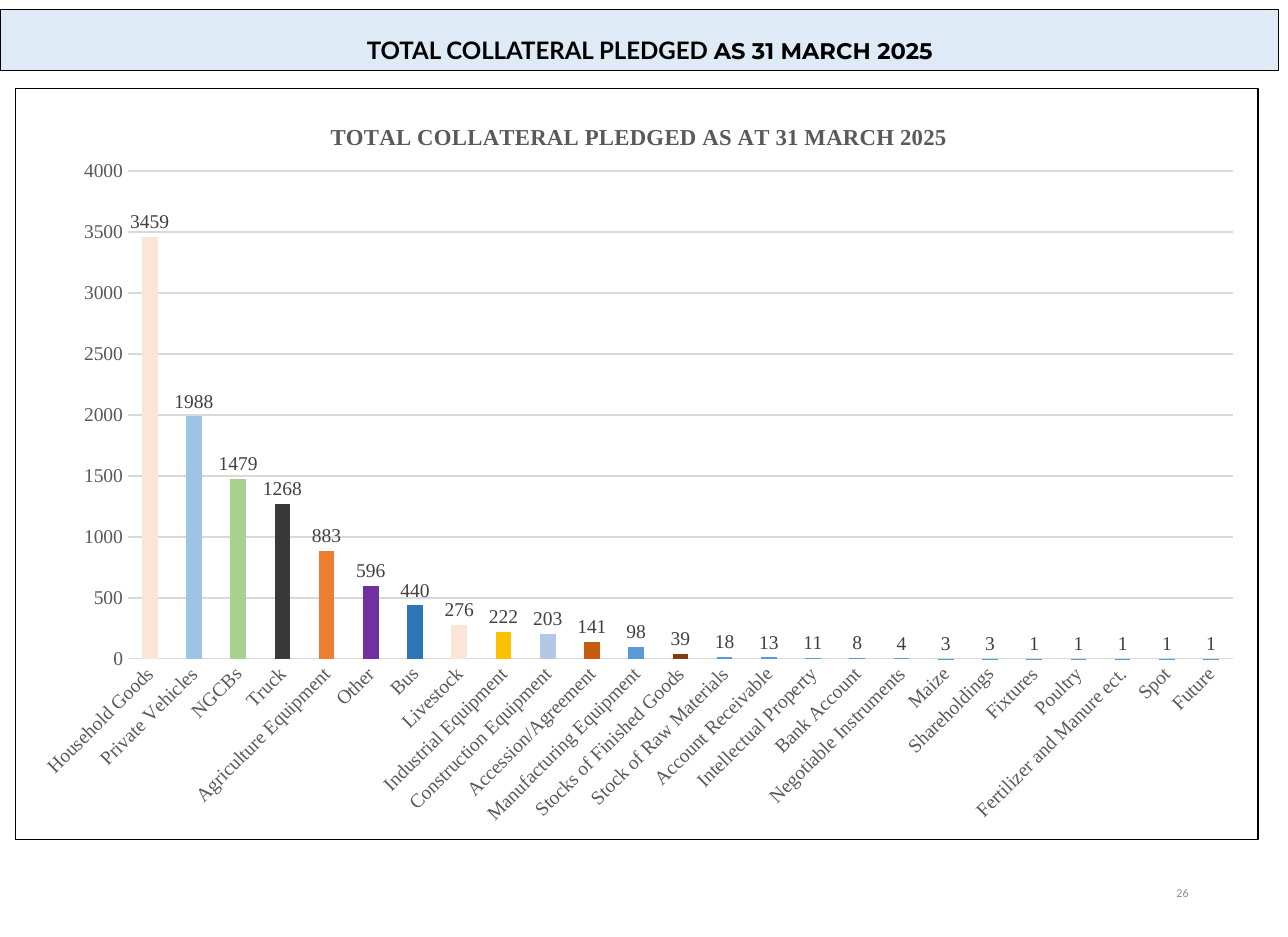
from lxml.etree import SubElement
from pptx import Presentation
from pptx.chart.data import CategoryChartData
from pptx.dml.color import RGBColor
from pptx.enum.chart import XL_CHART_TYPE, XL_LABEL_POSITION, XL_TICK_MARK
from pptx.enum.shapes import MSO_SHAPE
from pptx.enum.text import MSO_ANCHOR, PP_ALIGN
from pptx.oxml import parse_xml
from pptx.oxml.ns import nsdecls, qn
from pptx.util import Inches, Pt

theme = {
    "serif": "Times New Roman", "head": "Lato", "date": "Montserrat", "foot": "Calibri",
    "head_pt": 14.8, "date_pt": 13.9, "title_pt": 14, "chart_pt": 12, "foot_pt": 7.4,
    "band": "DEEBF7", "ink": "000000", "paper": "FFFFFF", "axis": "595959",
    "label": "404040", "grid": "D9D9D9", "page": "8C8C8C", "bar": "5B9BD5",
}

items = [
    ("Household Goods", 3459, "FBE5D6"), ("Private Vehicles", 1988, "9DC3E6"),
    ("NGCBs", 1479, "A9D18E"), ("Truck", 1268, "3B3838"),
    ("Agriculture Equipment", 883, "ED7D31"), ("Other", 596, "7030A0"),
    ("Bus", 440, "2E75B6"), ("Livestock", 276, "FBE5D6"),
    ("Industrial Equipment", 222, "FFC000"), ("Construction Equipment", 203, "B4C7E7"),
    ("Accession/Agreement", 141, "C55A11"), ("Manufacturing Equipment", 98, None),
    ("Stocks of Finished Goods", 39, "843C0B"), ("Stock of Raw Materials", 18, None),
    ("Account Receivable", 13, None), ("Intellectual Property", 11, None),
    ("Bank Account", 8, None), ("Negotiable Instruments", 4, None),
    ("Maize", 3, None), ("Shareholdings", 3, None), ("Fixtures", 1, None),
    ("Poultry", 1, None), ("Fertilizer and Manure ect.", 1, None),
    ("Spot", 1, None), ("Future", 1, None),
]


def style(font, face, size, color, bold=False):
    font.name = face
    font.size = Pt(size)
    font.bold = bold
    font.color.rgb = RGBColor.from_string(color)


def place(parent, **spots):
    for old in parent.findall(qn("c:layout")):
        parent.remove(old)
    layout = parse_xml(f"<c:layout {nsdecls('c')}/>")
    manual = SubElement(layout, qn("c:manualLayout"))
    for tag, val in spots.items():
        SubElement(manual, qn(f"c:{tag}")).set("val", str(val))
    return layout


deck = Presentation()
deck.slide_width = Inches(11)
deck.slide_height = Inches(8)
slide = deck.slides.add_slide(deck.slide_layouts[6])

band = slide.shapes.add_shape(MSO_SHAPE.RECTANGLE, Inches(0), Inches(0.08), Inches(10.92), Inches(0.52))
band.shadow.inherit = False
band.fill.solid()
band.fill.fore_color.rgb = RGBColor.from_string(theme["band"])
band.line.color.rgb = RGBColor.from_string(theme["ink"])
band.line.width = Pt(0.25)
frame = band.text_frame
frame.word_wrap = True
frame.vertical_anchor = MSO_ANCHOR.BOTTOM
frame.margin_left = Inches(0.28)
head = frame.paragraphs[0]
head.alignment = PP_ALIGN.CENTER
head.line_spacing = 0.9
head.space_after = Pt(5.1)
for text, part in (("TOTAL COLLATERAL PLEDGED ", "head"), ("AS 31 MARCH 2025", "date")):
    run = head.add_run()
    run.text = text
    style(run.font, theme[part], theme[f"{part}_pt"], theme["ink"], True)

page = slide.shapes.add_textbox(Inches(7.77), Inches(7.41), Inches(2.48), Inches(0.43))
page.text_frame.word_wrap = True
page.text_frame.vertical_anchor = MSO_ANCHOR.MIDDLE
page.text_frame.text = "26"
folio = page.text_frame.paragraphs[0]
folio.alignment = PP_ALIGN.RIGHT
style(folio.runs[0].font, theme["foot"], theme["foot_pt"], theme["page"])

data = CategoryChartData()
data.categories = [name for name, count, color in items]
data.add_series("Series 1", [count for name, count, color in items])
chart = slide.shapes.add_chart(
    XL_CHART_TYPE.COLUMN_CLUSTERED, Inches(0.13), Inches(0.75), Inches(10.62), Inches(6.42), data
).chart
style(chart.font, theme["serif"], theme["chart_pt"], theme["ink"])
chart.has_legend = False
chart.has_title = True
title = chart.chart_title
title.include_in_layout = False
title.text_frame.text = "TOTAL COLLATERAL PLEDGED AS AT 31 MARCH 2025"
style(title.text_frame.paragraphs[0].runs[0].font, theme["serif"], theme["title_pt"], theme["axis"], True)

root = chart.element
root.chart.addnext(parse_xml(
    f'<c:spPr {nsdecls("c", "a")}><a:solidFill><a:srgbClr val="{theme["paper"]}"/></a:solidFill>'
    f'<a:ln w="{Pt(0.75)}"><a:solidFill><a:srgbClr val="{theme["ink"]}"/></a:solidFill></a:ln></c:spPr>'
))
heading = root.chart.find(qn("c:title"))
spot = place(heading, xMode="edge", yMode="edge", x=0.25, y=0.04)
heading.find(qn("c:tx")).addnext(spot)
area = root.chart.plotArea
area.insert(0, place(area, layoutTarget="inner", xMode="edge", yMode="edge", x=0.09, y=0.11, w=0.89, h=0.65))

for axis in (chart.category_axis, chart.value_axis):
    style(axis.tick_labels.font, theme["serif"], theme["chart_pt"], theme["axis"])
    axis.major_tick_mark = XL_TICK_MARK.NONE
    axis.minor_tick_mark = XL_TICK_MARK.NONE

names, scale = chart.category_axis, chart.value_axis
names._element.find(qn("c:txPr")).find(qn("a:bodyPr")).set("rot", "-2700000")
scale.minimum_scale = 0
scale.maximum_scale = 4000
scale.major_unit = 500
scale.format.line.fill.background()
for line in (names.format.line, scale.major_gridlines.format.line):
    line.color.rgb = RGBColor.from_string(theme["grid"])
    line.width = Pt(0.75)

plot = chart.plots[0]
plot.gap_width = 182
plot.vary_by_categories = False
bars = plot.series[0]
bars.format.fill.solid()
bars.format.fill.fore_color.rgb = RGBColor.from_string(theme["bar"])
for index, (name, count, color) in enumerate(items):
    if color:
        fill = bars.points[index].format.fill
        fill.solid()
        fill.fore_color.rgb = RGBColor.from_string(color)
labels = bars.data_labels
labels.show_value = True
labels.position = XL_LABEL_POSITION.OUTSIDE_END
style(labels.font, theme["serif"], theme["chart_pt"], theme["label"])

deck.save("out.pptx")
